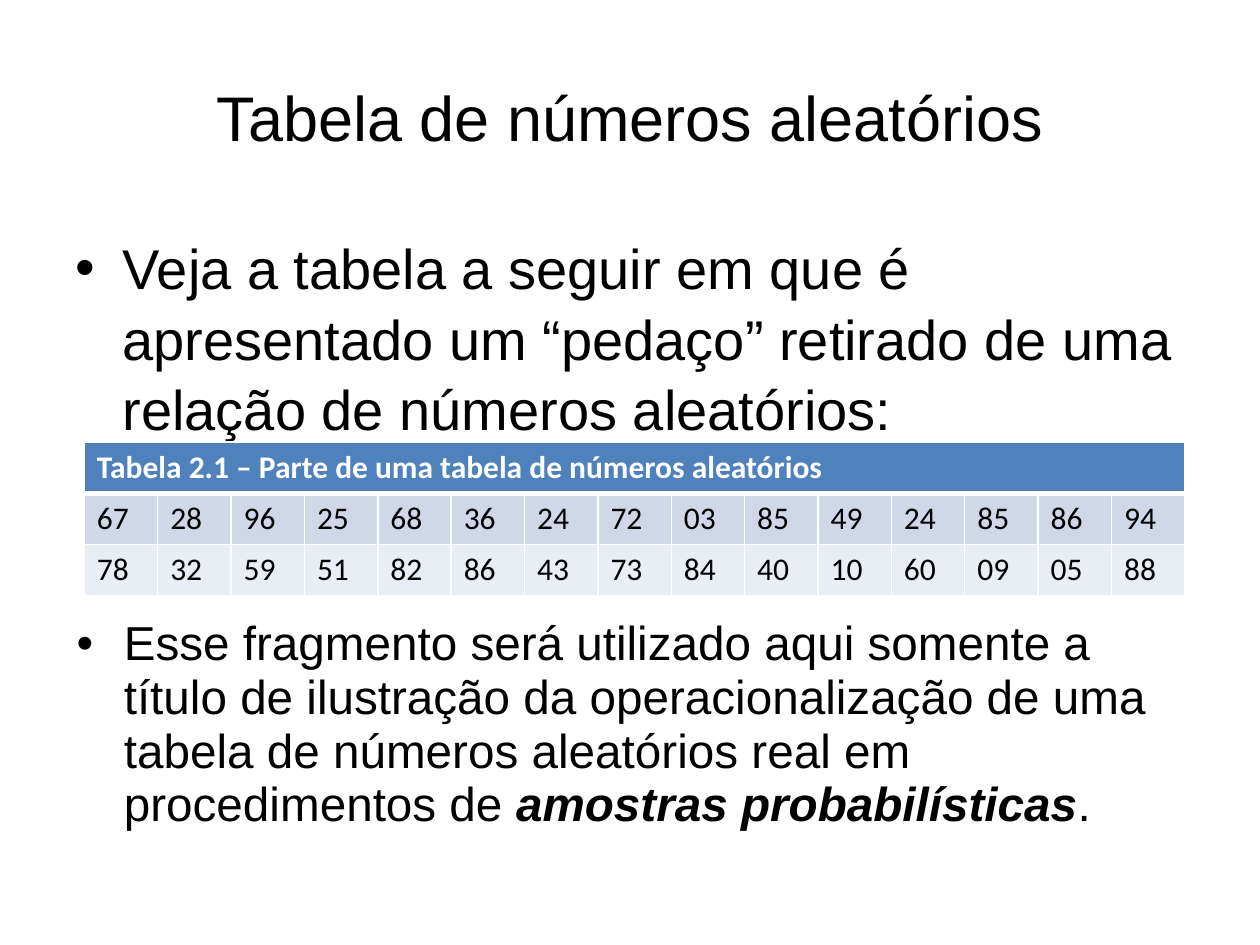
from dataclasses import dataclass

from lxml import etree
from pptx import Presentation
from pptx.dml.color import RGBColor
from pptx.enum.text import MSO_ANCHOR, PP_ALIGN
from pptx.oxml.ns import qn
from pptx.util import Pt

CENTER, LEFT = PP_ALIGN.CENTER, PP_ALIGN.LEFT
MIDDLE, TOP = MSO_ANCHOR.MIDDLE, MSO_ANCHOR.TOP
COLORS = {"text": "000000", "white": "FFFFFF", "header": "4F81BD",
          "odd": "D0D8E8", "even": "E9EDF4"}
HEADING = "Tabela 2.1 – Parte de uma tabela de números aleatórios"
NUMBERS = [
    "67 28 96 25 68 36 24 72 03 85 49 24 85 86 94".split(),
    "78 32 59 51 82 86 43 73 84 40 10 60 09 05 88".split(),
]
TABLE_LEFT, TABLE_TOP = 48.2, 252.7
COLUMN_WIDTH, ROW_HEIGHT = 41.95, 29.2
BULLET_INDENT = 27


@dataclass(frozen=True)
class Run:
    text: str
    emphasis: bool = False


@dataclass(frozen=True)
class TextBlock:
    left: float
    top: float
    height: float
    size: float
    runs: tuple[Run, ...]
    line_spacing: float = 1.0
    bulleted: bool = True
    width: float = 648


BLOCKS = (
    TextBlock(36, 21.6, 90, 36, (Run("Tabela de números aleatórios"),),
              bulleted=False),
    TextBlock(36, 128, 124, 32, (
        Run("Veja a tabela a seguir em que é apresentado um “pedaço” "
            "retirado de uma relação de números aleatórios:"),), 1.05),
    TextBlock(36.7, 349.5, 126.7, 27.2, (
        Run("Esse fragmento será utilizado aqui somente a título de "
            "ilustração da operacionalização de uma tabela de números "
            "aleatórios real em procedimentos de "),
        Run("amostras probabilísticas", True), Run(".")), 0.945),
)


def add_run(paragraph, text: str, color: str, formats: dict) -> None:
    """Append a run and set its font from the format values."""
    run = paragraph.add_run()
    run.text = text
    for name, value in formats.items():
        setattr(run.font, name, value)
    run.font.color.rgb = RGBColor.from_string(COLORS[color])


def add_bullet(paragraph) -> None:
    """Give the paragraph a round bullet with a hanging indent."""
    properties = paragraph._p.get_or_add_pPr()
    properties.set("marL", str(Pt(BULLET_INDENT)))
    properties.set("indent", str(-Pt(BULLET_INDENT)))
    etree.SubElement(properties, qn("a:buFont"), typeface="Arial")
    etree.SubElement(properties, qn("a:buChar"), char="•")


def add_text_block(slide, block: TextBlock) -> None:
    """Draw the title or a bulleted text."""
    shape = slide.shapes.add_textbox(
        Pt(block.left), Pt(block.top), Pt(block.width), Pt(block.height))
    frame = shape.text_frame
    frame.word_wrap = True
    frame.vertical_anchor = TOP if block.bulleted else MIDDLE
    paragraph = frame.paragraphs[0]
    paragraph.alignment = LEFT if block.bulleted else CENTER
    paragraph.line_spacing = block.line_spacing
    if block.bulleted:
        add_bullet(paragraph)
    for run in block.runs:
        add_run(paragraph, run.text, "text", {
            "name": "Arial", "size": Pt(block.size),
            "bold": run.emphasis, "italic": run.emphasis})


def set_borders(cell, widths: dict[str, float]) -> None:
    """Draw white cell borders ahead of the cell fill."""
    properties = cell._tc.get_or_add_tcPr()
    for position, (side, width) in enumerate(widths.items()):
        line = etree.Element(qn(f"a:ln{side}"), w=str(Pt(width)))
        fill = etree.SubElement(line, qn("a:solidFill"))
        etree.SubElement(fill, qn("a:srgbClr"), val=COLORS["white"])
        properties.insert(position, line)


def style_cell(cell, text: str, fill: str, header: bool) -> None:
    """Fill a table cell and write its text."""
    cell.fill.solid()
    cell.fill.fore_color.rgb = RGBColor.from_string(COLORS[fill])
    set_borders(cell, {"L": 1, "R": 1, "T": 1, "B": 3 if header else 1})
    if text:
        add_run(cell.text_frame.paragraphs[0], text,
                "white" if header else "text",
                {"name": "Calibri", "size": Pt(18), "bold": header})


def add_number_table(slide) -> None:
    """Draw the random numbers under one merged heading."""
    column_count = len(NUMBERS[0])
    rows = [[HEADING] + [""] * (column_count - 1), *NUMBERS]
    table = slide.shapes.add_table(
        len(rows), column_count, Pt(TABLE_LEFT), Pt(TABLE_TOP),
        Pt(COLUMN_WIDTH * column_count), Pt(ROW_HEIGHT * len(rows))).table
    for column in table.columns:
        column.width = Pt(COLUMN_WIDTH)
    for row_index, (texts, fill) in enumerate(
            zip(rows, ("header", "odd", "even"))):
        table.rows[row_index].height = Pt(ROW_HEIGHT)
        for column_index, text in enumerate(texts):
            style_cell(table.cell(row_index, column_index), text, fill,
                       row_index == 0)
    table.cell(0, 0).merge(table.cell(0, column_count - 1))


def main() -> None:
    """Build and save the slide."""
    presentation = Presentation()
    presentation.slide_width, presentation.slide_height = Pt(720), Pt(540)
    slide = presentation.slides.add_slide(presentation.slide_layouts[6])
    title, introduction, conclusion = BLOCKS
    add_text_block(slide, title)
    add_text_block(slide, introduction)
    add_number_table(slide)
    add_text_block(slide, conclusion)
    presentation.save("out.pptx")


if __name__ == "__main__":
    main()
